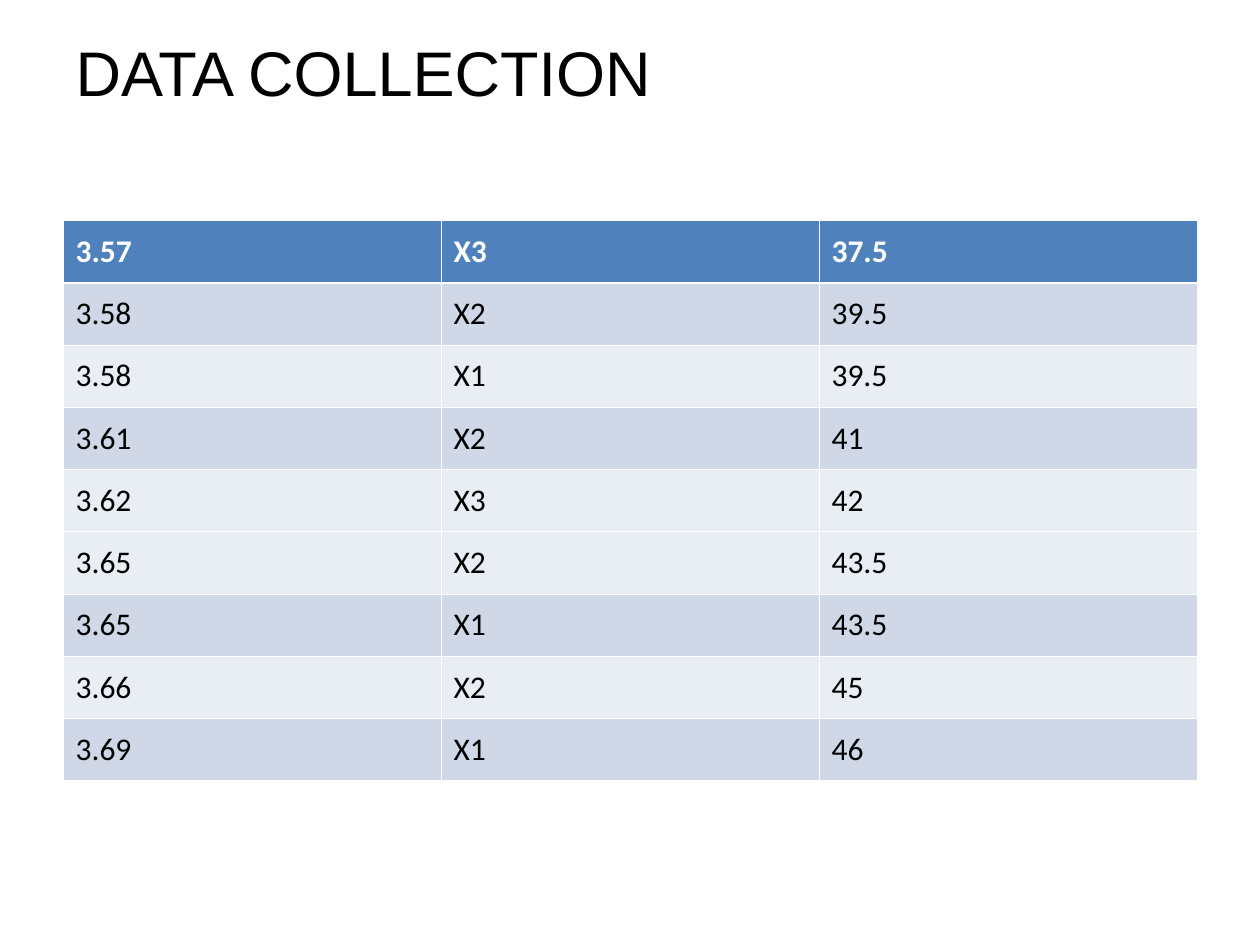
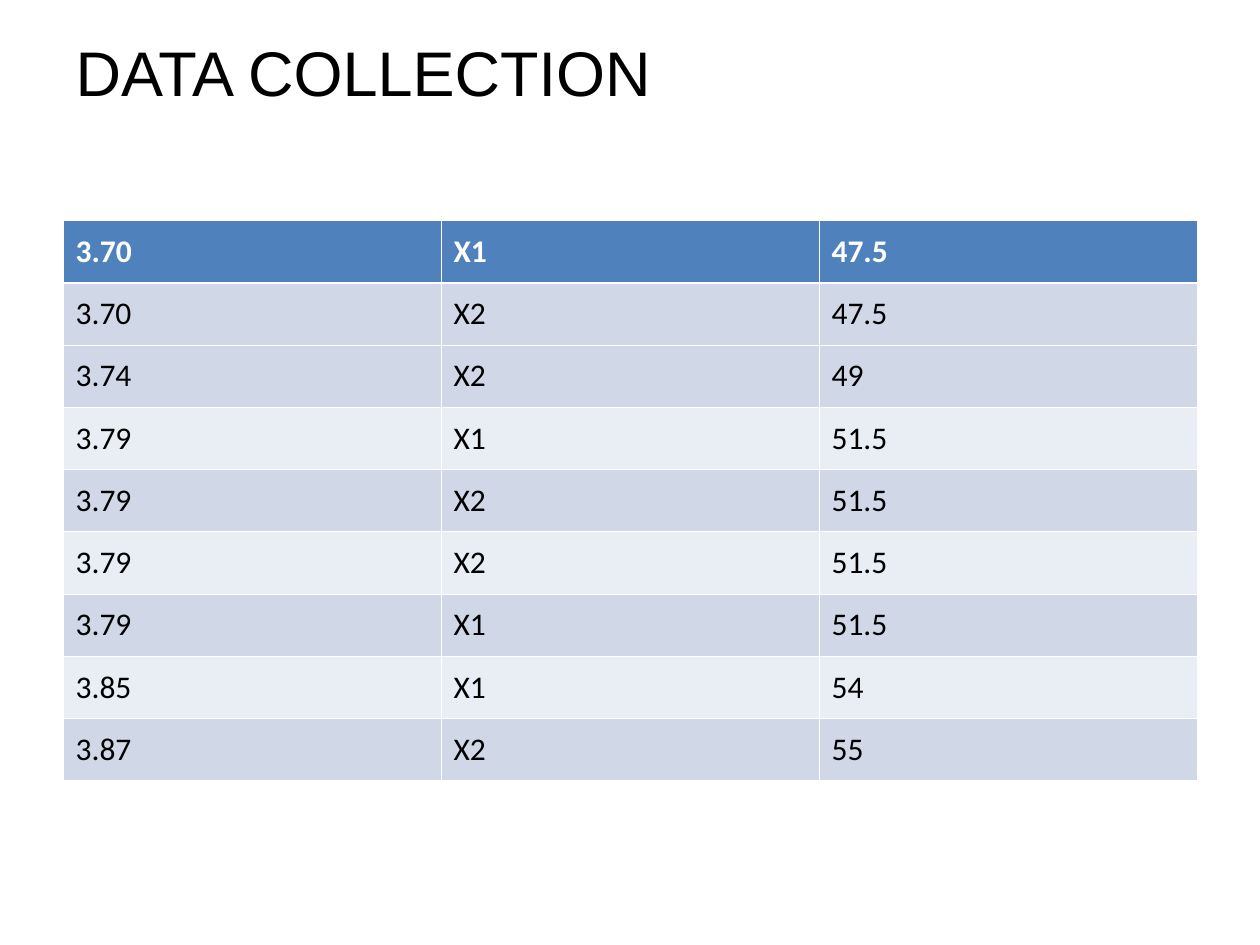
from lxml import etree
from pptx import Presentation, util as u
from pptx.dml.color import RGBColor
from pptx.enum import text
from pptx.oxml import ns

WHITE = RGBColor(0xFF, 0xFF, 0xFF)
BLACK = RGBColor(0, 0, 0)
BLUE = RGBColor(0x4F, 0x81, 0xBD)
DARK = RGBColor(0xD0, 0xD8, 0xE8)
PALE = RGBColor(0xE9, 0xED, 0xF4)
FILLS = {"H": BLUE, "D": DARK, "P": PALE}

WIDE, HIGH = u.Inches(10), u.Inches(7.5)
LEFT, SPAN = WIDE * 0.05, WIDE * 0.9
GRID = (LEFT, u.Inches(1.75), SPAN, u.Inches(4.45))
THIN, THICK = u.Pt(0.45), u.Pt(1.47)

HEAD = {"name": "Arial", "size": u.Pt(36), "bold": False}
BODY = {"name": "Calibri", "size": u.Pt(18)}

# Each slide: title top and height in inches, row shades, row values
SLIDES = [
    (0.11, 0.92, "HDPDPPDPD", [
        ("3.57", "X3", "37.5"), ("3.58", "X2", "39.5"), ("3.58", "X1", "39.5"),
        ("3.61", "X2", "41"), ("3.62", "X3", "42"), ("3.65", "X2", "43.5"),
        ("3.65", "X1", "43.5"), ("3.66", "X2", "45"), ("3.69", "X1", "46")]),
    (0.13, 0.87, "HDDPDPDPD", [
        ("3.70", "X1", "47.5"), ("3.70", "X2", "47.5"), ("3.74", "X2", "49"),
        ("3.79", "X1", "51.5"), ("3.79", "X2", "51.5"), ("3.79", "X2", "51.5"),
        ("3.79", "X1", "51.5"), ("3.85", "X1", "54"), ("3.87", "X2", "55")]),
]


def style(font, form, color):
    for key, val in form.items():
        setattr(font, key, val)
    font.color.rgb = color


def place(shape, box):
    for key, val in zip(("left", "top", "width", "height"), box):
        setattr(shape, key, int(val))


def add_title(slide, words, box):
    title = slide.shapes.title
    place(title, box)
    frame = title.text_frame
    frame.text = words
    frame.auto_size = text.MSO_AUTO_SIZE.NONE
    frame.vertical_anchor = text.MSO_ANCHOR.MIDDLE
    line = frame.paragraphs[0]
    line.alignment = text.PP_ALIGN.LEFT
    style(line.font, HEAD, BLACK)


def add_edges(cell, top, base):
    """Draw white borders; top and base are the widths of those edges."""
    prop = cell._tc.get_or_add_tcPr()
    for side, width in zip("LRTB", (THIN, THIN, top, base)):
        edge = etree.SubElement(prop, ns.qn(f"a:ln{side}"), w=str(int(width)))
        fill = etree.SubElement(edge, ns.qn("a:solidFill"))
        etree.SubElement(fill, ns.qn("a:srgbClr"), val=str(WHITE))


def add_grid(slide, rows, shades, box):
    frame = slide.shapes.add_table(len(rows), len(rows[0]), *map(int, box))
    table = frame.table
    for r, (row, shade) in enumerate(zip(rows, shades)):
        top = THICK if r == 1 else THIN
        base = THICK if r == 0 else THIN
        for c, value in enumerate(row):
            cell = table.cell(r, c)
            cell.text = value
            cell.vertical_anchor = text.MSO_ANCHOR.MIDDLE
            add_edges(cell, top, base)
            cell.fill.solid()
            cell.fill.fore_color.rgb = FILLS[shade]
            font = cell.text_frame.paragraphs[0].runs[0].font
            style(font, BODY | {"bold": r == 0}, BLACK if r else WHITE)


def main():
    deck = Presentation()
    deck.slide_width, deck.slide_height = WIDE, HIGH
    for top, tall, shades, rows in SLIDES:
        slide = deck.slides.add_slide(deck.slide_layouts[5])
        add_title(slide, "DATA COLLECTION",
                  (LEFT, u.Inches(top), SPAN, u.Inches(tall)))
        add_grid(slide, rows, shades, GRID)
    deck.save("out.pptx")


if __name__ == "__main__":
    main()
